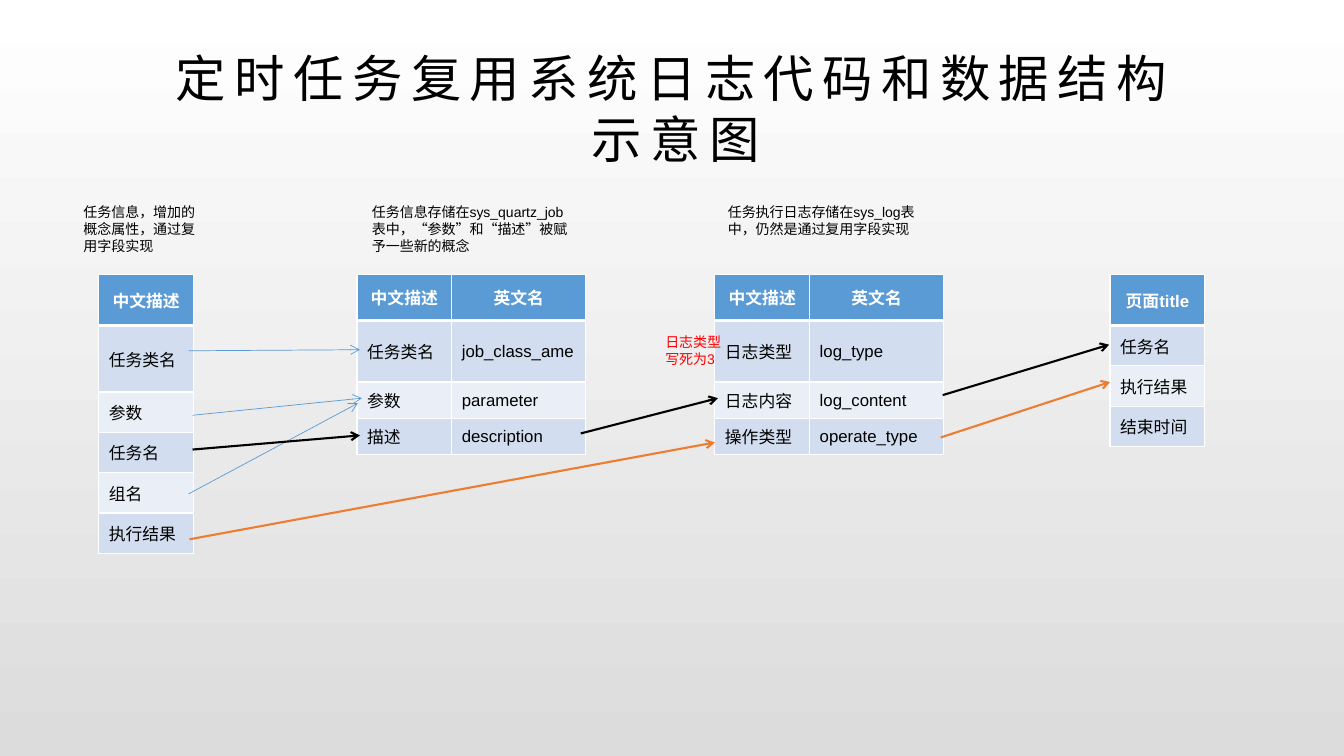
from lxml import etree
from pptx import Presentation, util as u
from pptx.dml.color import RGBColor
from pptx.enum import lang, shapes, text
from pptx.oxml import ns

COLORS = {
    "black": "000000", "white": "FFFFFF", "red": "FF0000", "bg_end": "DCDCDC",
    "blue": "5B9BD5", "orange": "ED7D31", "band_dark": "D2DEEF", "band_light": "EAEFF7",
}
TABLE_TOP = 2.72
COL_WIDTHS = [0.94, 1.33]


def rgb(name):
    return RGBColor.from_string(COLORS[name])


def add_run(p, content, size, color, bold=False):
    r = p.add_run()
    r.text = content
    r.font.name = "Arial"
    r.font.size = u.Pt(size)
    r.font.bold = bold
    r.font.color.rgb = rgb(color)
    r.font.language_id = lang.MSO_LANGUAGE_ID.SIMPLIFIED_CHINESE
    return r


def set_background(s):
    fill = s.background.fill
    fill.gradient()
    fill.gradient_angle = 270
    for stop, name in zip(fill.gradient_stops, ("white", "bg_end")):
        stop.color.rgb = rgb(name)


def set_title(s, lines):
    sp = s.shapes.title
    sp.left, sp.top, sp.width, sp.height = map(u.Inches, (0.73, 0.43, 11.87, 0.87))
    tf = sp.text_frame
    tf.word_wrap = True
    tf.auto_size = text.MSO_AUTO_SIZE.NONE
    tf.vertical_anchor = text.MSO_ANCHOR.TOP
    tf.margin_left, tf.margin_right = u.Inches(0.11), u.Inches(0.03)
    tf.margin_top = tf.margin_bottom = u.Inches(0.04)
    p = tf.paragraphs[0]
    p.alignment = text.PP_ALIGN.CENTER
    for i, line in enumerate(lines):
        if i:
            p.add_line_break()
        r = add_run(p, line, 36, "black")
        r.font._element.set("spc", "600")


def add_note(s, left, top, width, height, content, color="black"):
    sp = s.shapes.add_textbox(*map(u.Inches, (left, top, width, height)))
    tf = sp.text_frame
    tf.word_wrap = True
    tf.auto_size = text.MSO_AUTO_SIZE.SHAPE_TO_FIT_TEXT
    add_run(tf.paragraphs[0], content, 10, color)


def set_borders(cell, row):
    # Borders come before the fill in the cell properties
    widths = {"L": 1, "R": 1, "T": 3 if row == 1 else 1, "B": 3 if row == 0 else 1}
    tc_pr = cell._tc.get_or_add_tcPr()
    for i, (side, width) in enumerate(widths.items()):
        ln = etree.Element(ns.qn(f"a:ln{side}"), w=str(u.Pt(width)))
        fill = etree.SubElement(ln, ns.qn("a:solidFill"))
        etree.SubElement(fill, ns.qn("a:srgbClr"), val=COLORS["white"])
        tc_pr.insert(i, ln)


def add_field_table(s, left, heights, rows):
    widths = COL_WIDTHS[:len(rows[0])]
    frame = s.shapes.add_table(
        len(rows), len(widths), u.Inches(left), u.Inches(TABLE_TOP),
        u.Inches(sum(widths)), u.Inches(sum(heights)))
    table = frame.table
    for col, width in zip(table.columns, widths):
        col.width = u.Inches(width)
    for i, (values, height) in enumerate(zip(rows, heights)):
        table.rows[i].height = u.Inches(height)
        header = i == 0
        band = "blue" if header else ("band_light", "band_dark")[i % 2]
        for j, value in enumerate(values):
            cell = table.cell(i, j)
            cell.vertical_anchor = text.MSO_ANCHOR.MIDDLE
            cell.fill.solid()
            cell.fill.fore_color.rgb = rgb(band)
            set_borders(cell, i)
            p = cell.text_frame.paragraphs[0]
            if header:
                p.alignment = text.PP_ALIGN.CENTER
            add_run(p, value, 12, "white" if header else "black", header)


def add_arrow(s, start, end, color, width):
    sp = s.shapes.add_connector(
        shapes.MSO_CONNECTOR.STRAIGHT, *map(u.Inches, (*start, *end)))
    sp.line.color.rgb = rgb(color)
    sp.line.width = u.Pt(width)
    etree.SubElement(sp.line._get_or_add_ln(), ns.qn("a:tailEnd"), type="arrow")
    etree.SubElement(sp._element.spPr, ns.qn("a:effectLst"))


def main():
    prs = Presentation()
    prs.slide_width, prs.slide_height = u.Inches(13.33), u.Inches(7.5)
    s = prs.slides.add_slide(prs.slide_layouts[0])
    subtitle = s.placeholders[1]._element
    subtitle.getparent().remove(subtitle)

    set_background(s)
    set_title(s, ["定时任务复用系统日志代码和数据结构", "示意图"])

    # Field tables
    pair_heights = [0.46, 0.61, 0.36, 0.36]
    add_field_table(s, 0.98, [0.51, 0.66] + [0.4] * 4, [
        ["中文描述"], ["任务类名"], ["参数"], ["任务名"], ["组名"], ["执行结果"]])
    add_field_table(s, 3.54, pair_heights, [
        ["中文描述", "英文名"], ["任务类名", "job_class_ame"],
        ["参数", "parameter"], ["描述", "description"]])
    add_field_table(s, 7.09, pair_heights, [
        ["中文描述", "英文名"], ["日志类型", "log_type"],
        ["日志内容", "log_content"], ["操作类型", "operate_type"]])
    add_field_table(s, 11.01, [0.51] + [0.4] * 3, [
        ["页面title"], ["任务名"], ["执行结果"], ["结束时间"]])

    # Notes above the tables, and the fixed log type
    for left, width, content in [
        (0.73, 1.37, "任务信息，增加的概念属性，通过复用字段实现"),
        (3.59, 2.22, "任务信息存储在sys_quartz_job表中，“参数”和“描述”被赋予一些新的概念"),
        (7.12, 2.05, "任务执行日志存储在sys_log表中，仍然是通过复用字段实现"),
    ]:
        add_note(s, left, 1.97, width, 0.6, content)
    add_note(s, 6.5, 3.26, 0.86, 0.44, "日志类型写死为3", "red")

    # Field mappings: plain, task name, result
    for start, end, color, width in [
        ((1.87, 3.48), (3.57, 3.47), "blue", 0.5),
        ((1.91, 4.12), (3.59, 3.95), "blue", 0.5),
        ((1.87, 4.9), (3.55, 4), "blue", 0.5),
        ((1.91, 4.46), (3.57, 4.32), "black", 1.5),
        ((5.76, 4.3), (7.12, 3.95), "black", 1.5),
        ((9.35, 3.92), (11, 3.42), "black", 1.5),
        ((1.88, 5.35), (7.09, 4.39), "orange", 1.5),
        ((9.33, 4.34), (11.01, 3.79), "orange", 1.5),
    ]:
        add_arrow(s, start, end, color, width)

    prs.save("out.pptx")


if __name__ == "__main__":
    main()
